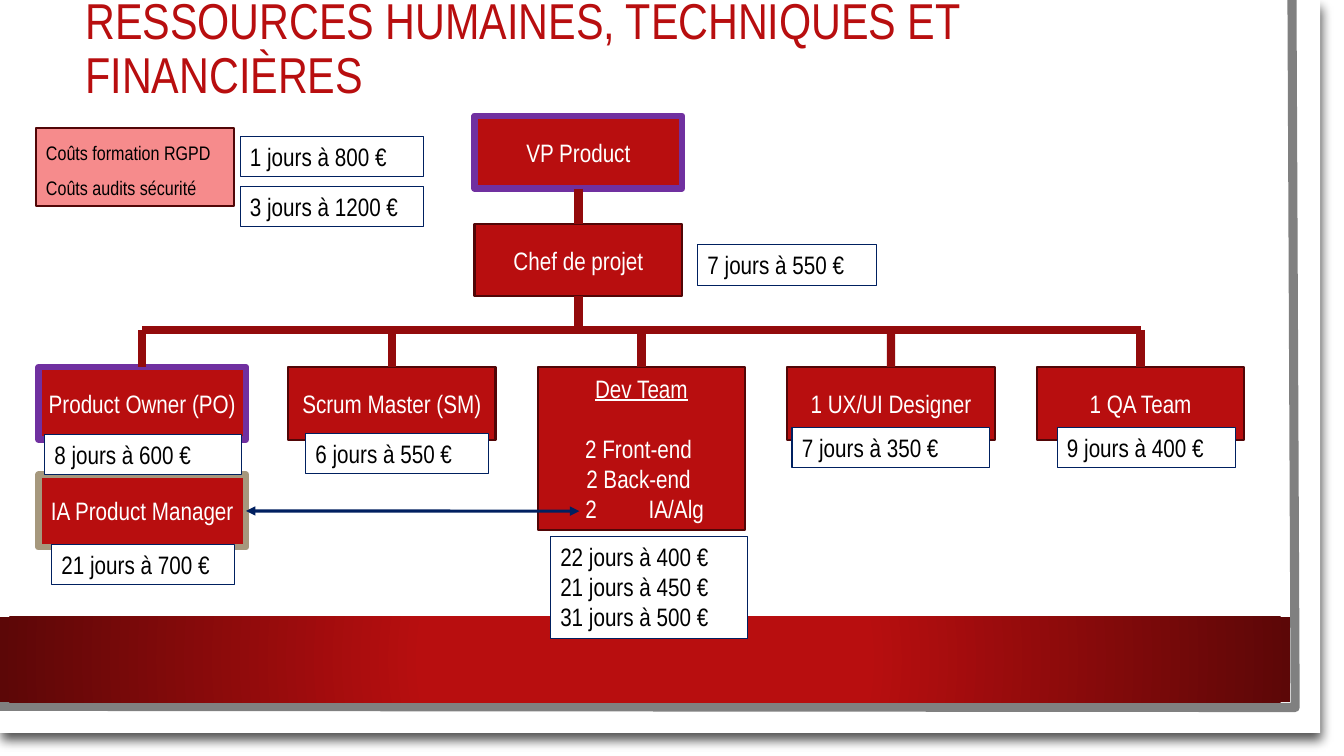
from dataclasses import dataclass
from typing import Any, Optional

from lxml import etree
from pptx import Presentation
from pptx import util as u
from pptx.dml.color import RGBColor
from pptx.enum import shapes, text
from pptx.oxml import ns

RED = RGBColor(0xB8, 0x0E, 0x0F)
DARK_RED = RGBColor(0x5C, 0x07, 0x07)
BORDER_RED = RGBColor(0x51, 0x06, 0x07)
LINK_RED = RGBColor(0x93, 0x0B, 0x0C)
PINK = RGBColor(0xF6, 0x8B, 0x8C)
PURPLE = RGBColor(0x70, 0x30, 0xA0)
SAND = RGBColor(0xA6, 0x98, 0x7D)
NAVY = RGBColor(0x00, 0x20, 0x60)
GREY = RGBColor(0x80, 0x80, 0x80)
WHITE = RGBColor(0xFF, 0xFF, 0xFF)
BLACK = RGBColor(0x00, 0x00, 0x00)

FONT = "Arial Narrow"
ROLE_WIDTH, ROLE_HEIGHT = 5.23, 1.83
ROLE_LEFT, ROLE_STEP, ROLE_TOP = 0.97, 6.29, 9.25
CHIEF_LEFT = 11.96
BUS_TOP = 8.31

ROLE_FRAME = {
    "word_wrap": True,
    "vertical_anchor": text.MSO_ANCHOR.MIDDLE,
    "margin_left": u.Cm(0.2),
    "margin_right": u.Cm(0.2),
}
COST_FRAME = {
    "word_wrap": True,
    "vertical_anchor": text.MSO_ANCHOR.TOP,
    "auto_size": text.MSO_AUTO_SIZE.SHAPE_TO_FIT_TEXT,
}
TITLE_FRAME = {
    "word_wrap": True,
    "vertical_anchor": text.MSO_ANCHOR.MIDDLE,
    "auto_size": text.MSO_AUTO_SIZE.NONE,
}


@dataclass
class Role:
    name: str
    left: float
    top: float
    lines: tuple[str, ...]
    height: float = ROLE_HEIGHT
    border: RGBColor = BORDER_RED
    border_width: float = 1.5


@dataclass
class Cost:
    left: float
    top: float
    width: float
    lines: tuple[str, ...]
    height: float = 1.02


def apply_format(target: Any, values: dict[str, Any]) -> None:
    for attribute, value in values.items():
        setattr(target, attribute, value)


def write_lines(shape: Any, lines: tuple[str, ...], size: float, color: RGBColor,
                frame_format: dict[str, Any], alignment: Any) -> None:
    frame = shape.text_frame
    apply_format(frame, frame_format)
    for index, line in enumerate(lines):
        paragraph = frame.paragraphs[0] if index == 0 else frame.add_paragraph()
        paragraph.alignment = alignment
        run = paragraph.add_run()
        run.text = line
        apply_format(run.font, {"name": FONT, "size": u.Pt(size)})
        run.font.color.rgb = color


def add_box(slide: Any, left: float, top: float, width: float, height: float,
            fill: RGBColor, border: Optional[RGBColor] = None, border_width: float = 0) -> Any:
    shape = slide.shapes.add_shape(shapes.MSO_SHAPE.RECTANGLE, u.Cm(left), u.Cm(top),
                                   u.Cm(width), u.Cm(height))
    shape.shadow.inherit = False
    shape.fill.solid()
    shape.fill.fore_color.rgb = fill
    if border is None:
        shape.line.fill.background()
    else:
        shape.line.color.rgb = border
        shape.line.width = u.Pt(border_width)
    return shape


def add_role(slide: Any, role: Role) -> Any:
    shape = add_box(slide, role.left, role.top, ROLE_WIDTH, role.height, RED,
                    role.border, role.border_width)
    write_lines(shape, role.lines, 18, WHITE, ROLE_FRAME, text.PP_ALIGN.CENTER)
    return shape


def add_cost(slide: Any, cost: Cost) -> None:
    shape = add_box(slide, cost.left, cost.top, cost.width, cost.height, WHITE, NAVY, 0.75)
    write_lines(shape, cost.lines, 18, BLACK, COST_FRAME, text.PP_ALIGN.LEFT)


def add_link(slide: Any, start: tuple[float, float], end: tuple[float, float],
             color: RGBColor = LINK_RED, width: float = 6) -> Any:
    connector = slide.shapes.add_connector(shapes.MSO_CONNECTOR.STRAIGHT,
                                           *(u.Cm(value) for value in start + end))
    connector.line.color.rgb = color
    connector.line.width = u.Pt(width)
    etree.SubElement(connector.element.spPr, ns.qn("a:effectLst"))
    return connector


def add_backdrop(slide: Any) -> None:
    title = slide.shapes.title
    page = add_box(slide, 0, 0, 33.27, 18.47, WHITE)
    effects = page.element.spPr.find(ns.qn("a:effectLst"))
    shadow = etree.SubElement(effects, ns.qn("a:outerShdw"), blurRad=str(u.Pt(7.8)),
                              dist=str(u.Pt(6)), dir=str(73 * 60000), rotWithShape="0")
    shade = etree.SubElement(shadow, ns.qn("a:srgbClr"), val=str(BLACK))
    etree.SubElement(shade, ns.qn("a:alpha"), val="68000")

    builder = slide.shapes.build_freeform(u.Cm(32.56), 0)
    builder.add_line_segments([(u.Cm(32.64), u.Cm(17.83)), (u.Cm(-0.08), u.Cm(17.8))], close=False)
    edge = builder.convert_to_shape()
    edge.shadow.inherit = False
    edge.fill.background()
    edge.line.color.rgb = GREY
    edge.line.width = u.Pt(6.5)

    band = add_box(slide, 0, 15.54, 32.51, 2.16, RED)
    band.fill.gradient()
    for stop, position, color in zip(band.fill.gradient_stops, (0.34, 1), (RED, DARK_RED)):
        stop.position = position
        stop.color.rgb = color
    linear = band.element.spPr.find(".//" + ns.qn("a:lin"))
    circle = etree.Element(ns.qn("a:path"), path="circle")
    etree.SubElement(circle, ns.qn("a:fillToRect"), l="50000", t="50000", r="50000", b="50000")
    linear.getparent().replace(linear, circle)

    for shape in (page, edge, band):
        title.element.addprevious(shape.element)


def format_dev_team(shape: Any) -> None:
    paragraphs = shape.text_frame.paragraphs
    paragraphs[0].runs[0].font.underline = True
    paragraphs[0].space_after = u.Pt(21.5)
    paragraphs[-1].alignment = text.PP_ALIGN.LEFT
    properties = paragraphs[-1].element.get_or_add_pPr() if hasattr(paragraphs[-1], "element") \
        else paragraphs[-1]._p.get_or_add_pPr()
    tabs = etree.SubElement(properties, ns.qn("a:tabLst"))
    for position in (1, 2.6):
        etree.SubElement(tabs, ns.qn("a:tab"), pos=str(u.Cm(position)), algn="l")


def main() -> None:
    presentation = Presentation()
    presentation.slide_width, presentation.slide_height = u.Cm(33.87), u.Cm(19.05)
    slide = presentation.slides.add_slide(presentation.slide_layouts[5])
    title = slide.shapes.title
    apply_format(title, {"left": u.Cm(1.9), "top": u.Cm(-0.38),
                         "width": u.Cm(28.88), "height": u.Cm(3.3)})
    write_lines(title, ("RESSOURCES HUMAINES, TECHNIQUES ET FINANCIÈRES",), 36, RED,
                TITLE_FRAME, text.PP_ALIGN.LEFT)
    title.text_frame.paragraphs[0].line_spacing = 0.9
    add_backdrop(slide)

    columns = [ROLE_LEFT + index * ROLE_STEP for index in range(5)]
    team = ("Dev Team", "2 Front-end ", "2 Back-end ", "\t2\tIA/Alg")
    roles = [
        Role("vp", CHIEF_LEFT, 2.92, ("VP Product",), border=PURPLE, border_width=4.5),
        Role("chief", CHIEF_LEFT, 5.64, ("Chef de projet",)),
        Role("owner", columns[0], ROLE_TOP, ("Product Owner (PO)",), border=PURPLE, border_width=4.5),
        Role("scrum", columns[1], ROLE_TOP, ("Scrum Master (SM)",)),
        Role("dev", columns[2], ROLE_TOP, team, height=4.1),
        Role("design", columns[3], ROLE_TOP, ("1 UX/UI Designer",)),
        Role("quality", columns[4], ROLE_TOP, ("1 QA Team",)),
        Role("manager", columns[0], 11.96, ("IA Product Manager",), border=SAND, border_width=4.5),
    ]
    boxes = {role.name: add_role(slide, role) for role in roles}
    format_dev_team(boxes["dev"])

    for upper, lower in (("vp", "chief"), ("owner", "manager")):
        link = add_link(slide, (0, 0), (0, 0))
        link.begin_connect(boxes[upper], 2)
        link.end_connect(boxes[lower], 0)
    centers = [column + ROLE_WIDTH / 2 for column in columns]
    chief_center = CHIEF_LEFT + ROLE_WIDTH / 2
    add_link(slide, (chief_center, 7.47), (chief_center, BUS_TOP)).begin_connect(boxes["chief"], 2)
    add_link(slide, (centers[-1], BUS_TOP), (centers[0], BUS_TOP))
    for center, name in zip(centers, ("owner", "scrum", "dev", "design", "quality")):
        add_link(slide, (center, BUS_TOP), (center, ROLE_TOP)).end_connect(boxes[name], 0)
    arrow = add_link(slide, (6.2, 12.88), (14.6, 12.88), NAVY, 2.25)
    arrow.begin_connect(boxes["manager"], 3)
    for end in ("a:headEnd", "a:tailEnd"):
        etree.SubElement(arrow.element.spPr.find(ns.qn("a:ln")), ns.qn(end), type="triangle")

    add_box(slide, 0.91, 3.23, 5, 1.96, PINK, BORDER_RED, 1.5)
    for top, label in ((3.43, "Coûts formation RGPD"), (4.32, "Coûts audits sécurité")):
        box = slide.shapes.add_textbox(u.Cm(0.91), u.Cm(top), u.Cm(5.31), u.Cm(0.86))
        write_lines(box, (label,), 14, BLACK, COST_FRAME, text.PP_ALIGN.LEFT)

    for cost in (
        Cost(13.87, 13.51, 4.98, ("22 jours à 400 €", "21 jours à 450 €", "31 jours à 500 €"), 2.57),
        Cost(19.96, 10.77, 4.98, ("7 jours à 350 €",)),
        Cost(17.58, 6.17, 4.5, ("7 jours à 550 €",)),
        Cost(26.64, 10.77, 4.5, ("9 jours à 400 €",)),
        Cost(1.12, 10.95, 4.98, ("8 jours à 600 €",)),
        Cost(7.7, 10.92, 4.62, ("6 jours à 550 €",)),
        Cost(1.3, 13.72, 4.62, ("21 jours à 700 €",)),
        Cost(6.05, 3.43, 4.62, ("1 jours à 800 €",)),
        Cost(6.05, 4.7, 4.62, ("3 jours à 1200 €",)),
    ):
        add_cost(slide, cost)
    presentation.save("out.pptx")


if __name__ == "__main__":
    main()
